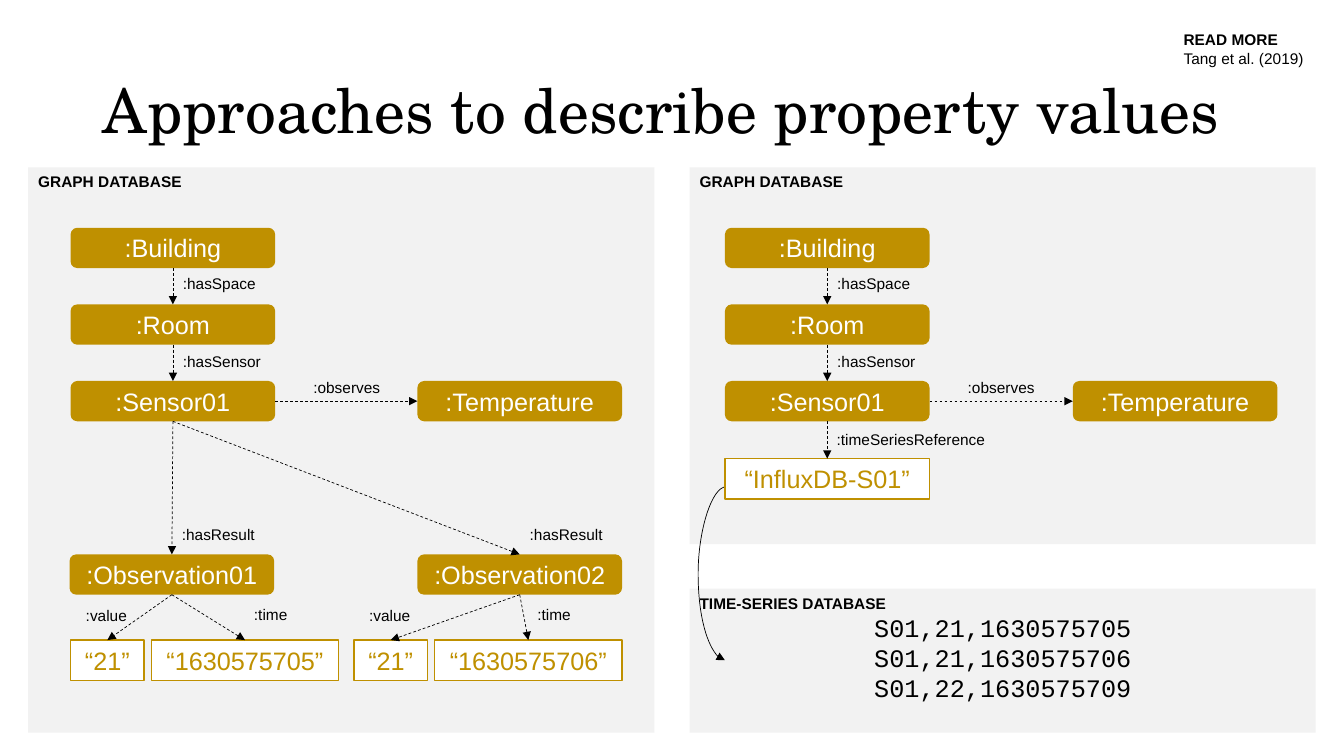
from pptx import Presentation
from pptx.dml.color import RGBColor
from pptx.enum.dml import MSO_LINE
from pptx.enum.shapes import MSO_CONNECTOR, MSO_SHAPE
from pptx.enum.text import MSO_ANCHOR, MSO_AUTO_SIZE, PP_ALIGN
from pptx.oxml.ns import qn
from pptx.util import Inches, Pt
from lxml import etree

RECT, ROUND = MSO_SHAPE.RECTANGLE, MSO_SHAPE.ROUNDED_RECTANGLE
STRAIGHT, CURVE = MSO_CONNECTOR.STRAIGHT, MSO_CONNECTOR.CURVE
DASH = MSO_LINE.DASH
LEFT, CENTER = PP_ALIGN.LEFT, PP_ALIGN.CENTER
TOP_ANCHOR, MIDDLE = MSO_ANCHOR.TOP, MSO_ANCHOR.MIDDLE
FIT = MSO_AUTO_SIZE.SHAPE_TO_FIT_TEXT
TOP, LEFT_SIDE, BOTTOM, RIGHT_SIDE = 0, 1, 2, 3

GOLD, WHITE, BLACK, GREY = "BF9000", "FFFFFF", "000000", "F2F2F2"
NODE_W, NODE_H, PITCH = 2.03, 0.4, 0.76


def rgb(value):
    return RGBColor.from_string(value)


class GraphSlide:
    sans, mono, serif = "Arial", "Courier New", "TeX Gyre Schola"
    small, body, heading = 11, 18, 44

    def __init__(self, slide):
        self.shapes = slide.shapes

    def set_text(self, p, text, size, color=BLACK, font=sans, bold=False, align=LEFT):
        p.text = text
        p.alignment = align
        p.font.size = Pt(size)
        p.font.name = font
        p.font.bold = bold
        p.font.color.rgb = rgb(color)

    def box(self, kind, x, y, w, h, fill, line=None):
        sp = self.shapes.add_shape(kind, Inches(x), Inches(y), Inches(w), Inches(h))
        sp.shadow.inherit = False
        sp.fill.solid()
        sp.fill.fore_color.rgb = rgb(fill)
        if line:
            sp.line.color.rgb = rgb(line)
            sp.line.width = Pt(1)
        else:
            sp.line.fill.background()
        sp.text_frame.word_wrap = True
        return sp

    def panel(self, x, y, w, h, title, rows=()):
        tf = self.box(RECT, x, y, w, h, GREY).text_frame
        tf.vertical_anchor = TOP_ANCHOR
        self.set_text(tf.paragraphs[0], title, self.small, bold=True)
        for row in rows:
            self.set_text(tf.add_paragraph(), row, self.body, font=self.mono, align=CENTER)

    def node(self, x, y, text):
        sp = self.box(ROUND, x, y, NODE_W, NODE_H, GOLD)
        sp.text_frame.vertical_anchor = MIDDLE
        self.set_text(sp.text_frame.paragraphs[0], text, self.body, WHITE, align=CENTER)
        return sp

    def literal(self, x, y, w, text):
        sp = self.box(RECT, x, y, w, NODE_H, WHITE, GOLD)
        sp.text_frame.vertical_anchor = MIDDLE
        self.set_text(sp.text_frame.paragraphs[0], text, self.body, GOLD, align=CENTER)
        return sp

    def textbox(self, x, y, w, h):
        tf = self.shapes.add_textbox(Inches(x), Inches(y), Inches(w), Inches(h)).text_frame
        tf.word_wrap = True
        return tf

    def title(self, text):
        tf = self.textbox(0.92, 0.4, 11.5, 1.45)
        tf.vertical_anchor = MIDDLE
        p = tf.paragraphs[0]
        self.set_text(p, text, self.heading, font=self.serif)
        p.line_spacing = 0.9

    def label(self, x, y, w, text, align=LEFT):
        tf = self.textbox(x, y, w, 0.29)
        tf.auto_size = FIT
        self.set_text(tf.paragraphs[0], text, self.small, align=align)

    def reference(self, x, y, w, h, heading, citation):
        tf = self.textbox(x, y, w, h)
        tf.auto_size = FIT
        self.set_text(tf.paragraphs[0], heading, self.small, bold=True)
        self.set_text(tf.add_paragraph(), citation, self.small)

    def connector(self, kind, x1, y1, x2, y2):
        cxn = self.shapes.add_connector(kind, Inches(x1), Inches(y1), Inches(x2), Inches(y2))
        cxn.line.color.rgb = rgb(BLACK)
        cxn.line.width = Pt(0.5)
        return cxn

    def finish(self, cxn):
        props = cxn._element.spPr
        etree.SubElement(props.find(qn("a:ln")), qn("a:tailEnd"), type="triangle")
        etree.SubElement(props, qn("a:effectLst"))

    def arrow(self, source, target, start=BOTTOM, end=TOP):
        cxn = self.connector(STRAIGHT, 0, 0, 1, 1)
        cxn.begin_connect(source, start)
        cxn.end_connect(target, end)
        cxn.line.dash_style = DASH
        self.finish(cxn)

    def curved_arrow(self, x1, y1, x2, y2, bend):
        cxn = self.connector(CURVE, x1, y1, x2, y2)
        guides = cxn._element.spPr.find(qn("a:prstGeom")).find(qn("a:avLst"))
        etree.SubElement(guides, qn("a:gd"), name="adj1", fmla=f"val {bend}")
        self.finish(cxn)

    def sensor_graph(self, x, temperature_x):
        center = x + NODE_W / 2
        building, room, sensor = [
            self.node(x, 2.26 + i * PITCH, text)
            for i, text in enumerate((":Building", ":Room", ":Sensor01"))
        ]
        temperature = self.node(temperature_x, 3.78, ":Temperature")
        self.arrow(building, room)
        self.arrow(room, sensor)
        self.arrow(sensor, temperature, RIGHT_SIDE, LEFT_SIDE)
        self.label(center, 2.67, 1.45, ":hasSpace")
        self.label(center, 3.44, 1.45, ":hasSensor")
        self.label(x + NODE_W, 3.7, 1.42, ":observes", CENTER)
        return sensor

    def observation(self, sensor, x, literal_x, number, time, label_w):
        node = self.node(x, 5.5, f":Observation{number}")
        value_box = self.literal(literal_x, 6.35, 0.73, "“21”")
        time_box = self.literal(literal_x + 0.8, 6.35, 1.86, f"“{time}”")
        self.arrow(sensor, node)
        self.arrow(node, value_box)
        self.arrow(node, time_box)
        self.label(literal_x - 0.02, 5.96, 0.75, ":value", CENTER)
        self.label(literal_x + 1.61, 5.95, 0.75, ":time", CENTER)
        self.label(x + NODE_W / 2, 5.16, label_w, ":hasResult")


def main():
    prs = Presentation()
    prs.slide_width, prs.slide_height = Inches(13.33), Inches(7.5)
    s = GraphSlide(prs.slides.add_slide(prs.slide_layouts[6]))

    s.panel(0.28, 1.66, 6.21, 5.61, "GRAPH DATABASE")
    s.title("Approaches to describe property values")
    s.panel(6.84, 1.66, 6.21, 3.74, "GRAPH DATABASE")
    s.panel(6.84, 5.84, 6.21, 1.43, "TIME-SERIES DATABASE",
            ("S01,21,1630575705", "S01,21,1630575706", "S01,22,1630575709"))

    sensor = s.sensor_graph(0.7, 4.14)
    s.observation(sensor, 0.69, 0.7, "01", "1630575705", 1.45)
    s.observation(sensor, 4.14, 3.51, "02", "1630575706", 1.12)

    sensor = s.sensor_graph(7.19, 10.64)
    s.curved_arrow(7.2, 4.83, 7.19, 6.55, 2800000)
    series = s.literal(7.19, 4.55, NODE_W, "“InfluxDB-S01”")
    s.arrow(sensor, series)
    s.label(8.2, 4.22, 2.14, ":timeSeriesReference")

    s.reference(11.64, 0.25, 1.41, 0.47, "READ MORE", "Tang et al. (2019)")
    prs.save("out.pptx")


if __name__ == "__main__":
    main()
